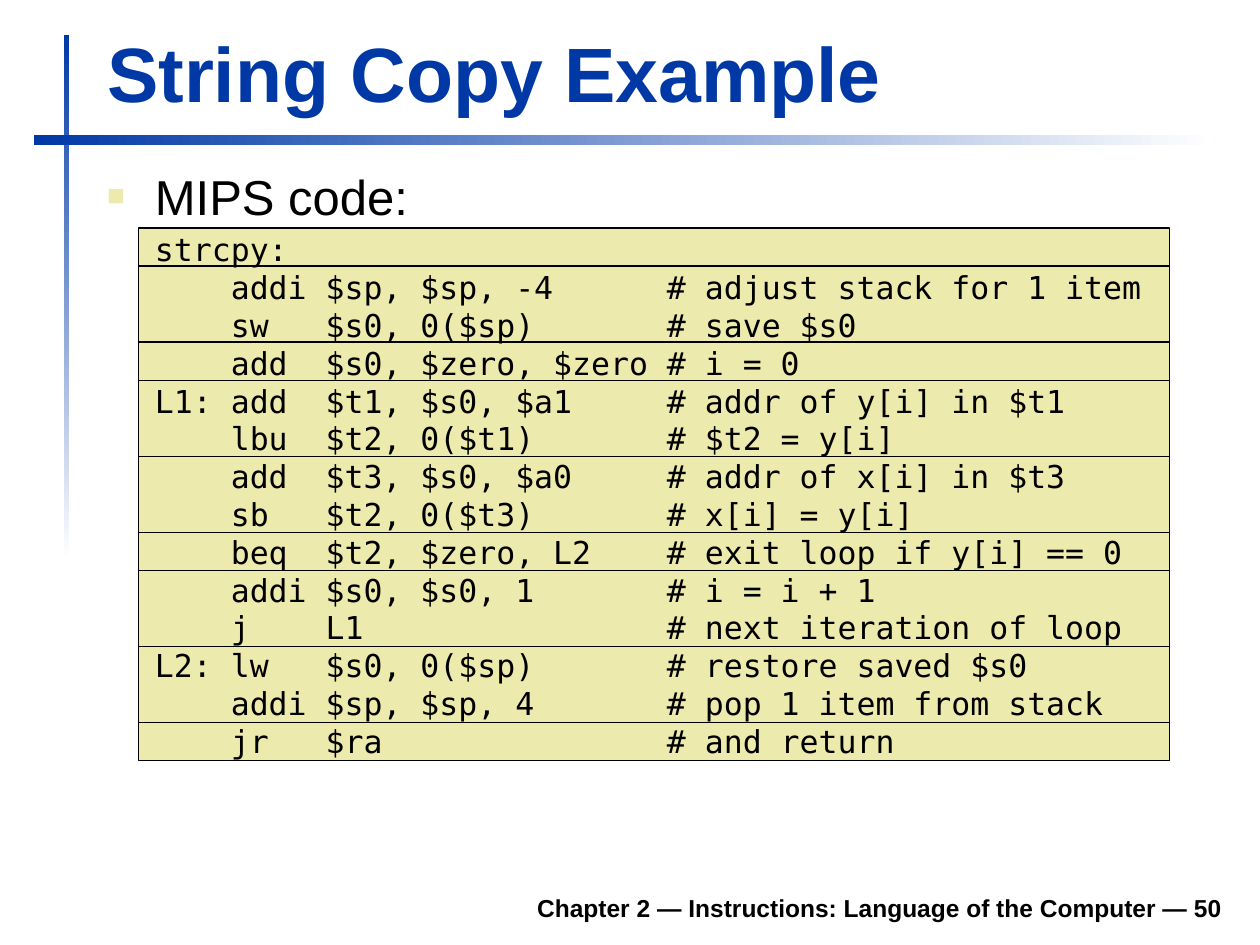
from dataclasses import dataclass

import pptx
import pptx.dml.color
import pptx.enum.shapes
import pptx.enum.text
import pptx.oxml
import pptx.oxml.ns
import pptx.util

BLUE, WHITE, BLACK, SAND = "0039A6", "FFFFFF", "000000", "ECEAAC"
TEXT_FONT, CODE_FONT = "Arial", "DejaVu Sans Mono"
CODE_LEFT, CODE_TOP, CODE_WIDTH, LINE_HEIGHT = 1.1, 1.81, 8.18, 0.302
INDENT = 0.38

# Each group of instructions sits on its own band.
CODE_GROUPS = [
    ["strcpy:"],
    ["    addi $sp, $sp, -4      # adjust stack for 1 item",
     "    sw   $s0, 0($sp)       # save $s0"],
    ["    add  $s0, $zero, $zero # i = 0"],
    ["L1: add  $t1, $s0, $a1     # addr of y[i] in $t1",
     "    lbu  $t2, 0($t1)       # $t2 = y[i]"],
    ["    add  $t3, $s0, $a0     # addr of x[i] in $t3",
     "    sb   $t2, 0($t3)       # x[i] = y[i]"],
    ["    beq  $t2, $zero, L2    # exit loop if y[i] == 0"],
    ["    addi $s0, $s0, 1       # i = i + 1",
     "    j    L1                # next iteration of loop"],
    ["L2: lw   $s0, 0($sp)       # restore saved $s0",
     "    addi $sp, $sp, 4       # pop 1 item from stack"],
    ["    jr   $ra               # and return"],
]


@dataclass(frozen=True)
class Box:
    left: float
    top: float
    width: float
    height: float

    def lengths(self) -> list:
        return [pptx.util.Inches(value)
                for value in (self.left, self.top, self.width, self.height)]


@dataclass(frozen=True)
class Rule:
    box: Box
    angle: int


@dataclass(frozen=True)
class Style:
    size: float
    color: str = BLACK
    bold: bool = False
    font: str = TEXT_FONT


RULES = [Rule(Box(0.51, 0.28, 0.04, 4.17), 270), Rule(Box(0.27, 1.07, 9.37, 0.08), 0)]


def rgb(color: str):
    return pptx.dml.color.RGBColor.from_string(color)


def add_rectangle(slide, box: Box):
    shape = slide.shapes.add_shape(
        pptx.enum.shapes.MSO_SHAPE.RECTANGLE, *box.lengths())
    shape.shadow.inherit = False
    return shape


def add_rule(slide, rule: Rule) -> None:
    """Draw a thin bar that fades from blue to white."""
    shape = add_rectangle(slide, rule.box)
    shape.line.fill.background()
    shape.fill.gradient()
    shape.fill.gradient_angle = rule.angle
    for stop, color, position in zip(shape.fill.gradient_stops, (BLUE, WHITE), (0, 1)):
        stop.color.rgb = rgb(color)
        stop.position = position


def add_code_band(slide, first_row: int, rows: int) -> None:
    shape = add_rectangle(slide, Box(CODE_LEFT, CODE_TOP + first_row * LINE_HEIGHT,
                                     CODE_WIDTH, rows * LINE_HEIGHT))
    shape.fill.solid()
    shape.fill.fore_color.rgb = rgb(SAND)
    shape.line.color.rgb = rgb(BLACK)
    shape.line.width = pptx.util.Pt(0.75)


def add_run(paragraph, text: str, style: Style) -> None:
    run = paragraph.add_run()
    run.text = text
    run.font.name = style.font
    run.font.size = pptx.util.Pt(style.size)
    run.font.bold = style.bold
    run.font.color.rgb = rgb(style.color)


def place(slide, shape, box: Box) -> None:
    """Position a text shape and bring it to the front."""
    shape.left, shape.top, shape.width, shape.height = box.lengths()
    shape.text_frame.word_wrap = True
    shape.text_frame.auto_size = pptx.enum.text.MSO_AUTO_SIZE.NONE
    slide.shapes._spTree.append(shape._element)


def set_indent(paragraph, first_line: float, bullet_elements: list) -> None:
    properties = paragraph._p.get_or_add_pPr()
    properties.set("marL", str(pptx.util.Inches(INDENT)))
    properties.set("indent", str(pptx.util.Inches(first_line)))
    namespace = pptx.oxml.ns.nsdecls("a")
    for element in bullet_elements:
        properties.append(pptx.oxml.parse_xml(element.format(namespace)))


def fill_title(slide) -> None:
    title = slide.shapes.title
    place(slide, title, Box(0.75, 0.16, 9.03, 0.83))
    title.text_frame.vertical_anchor = pptx.enum.text.MSO_ANCHOR.BOTTOM
    paragraph = title.text_frame.paragraphs[0]
    paragraph.alignment = pptx.enum.text.PP_ALIGN.LEFT
    add_run(paragraph, "String Copy Example", Style(44, BLUE, True))


def fill_body(slide) -> None:
    body = slide.placeholders[1]
    place(slide, body, Box(0.75, 1.23, 9.04, 5.59))
    frame = body.text_frame
    frame.margin_top = pptx.util.Inches(0.09)

    heading = frame.paragraphs[0]
    heading.space_before = pptx.util.Pt(0)
    set_indent(heading, -INDENT, [
        f'<a:buClr {{}}><a:srgbClr val="{SAND}"/></a:buClr>',
        '<a:buSzPct {} val="60000"/>',
        f'<a:buFont {{}} typeface="{TEXT_FONT}"/>',
        '<a:buChar {} char="■"/>',
    ])
    add_run(heading, "MIPS code:", Style(28))

    code = frame.add_paragraph()
    code.space_before = pptx.util.Pt(3)
    code.line_spacing = pptx.util.Pt(21.6)
    set_indent(code, 0, ["<a:buNone {}/>"])
    lines = [line for group in CODE_GROUPS for line in group]
    for number, line in enumerate(lines):
        if number:
            code.add_line_break()
        add_run(code, line, Style(18, font=CODE_FONT))


def add_footer(slide) -> None:
    box = Box(1.85, 6.98, 7.95, 0.39)
    footer = slide.shapes.add_textbox(*box.lengths())
    footer.text_frame.word_wrap = True
    footer.text_frame.vertical_anchor = pptx.enum.text.MSO_ANCHOR.BOTTOM
    paragraph = footer.text_frame.paragraphs[0]
    paragraph.alignment = pptx.enum.text.PP_ALIGN.RIGHT
    add_run(paragraph, "Chapter 2 — Instructions: Language of the Computer — 50",
            Style(14, bold=True))


def main() -> None:
    presentation = pptx.Presentation()
    presentation.slide_width = pptx.util.Inches(10)
    presentation.slide_height = pptx.util.Inches(7.5)
    slide = presentation.slides.add_slide(presentation.slide_layouts[1])
    for rule in RULES:
        add_rule(slide, rule)
    add_footer(slide)
    row = 0
    for group in CODE_GROUPS:
        add_code_band(slide, row, len(group))
        row += len(group)
    fill_title(slide)
    fill_body(slide)
    presentation.save("out.pptx")


if __name__ == "__main__":
    main()
